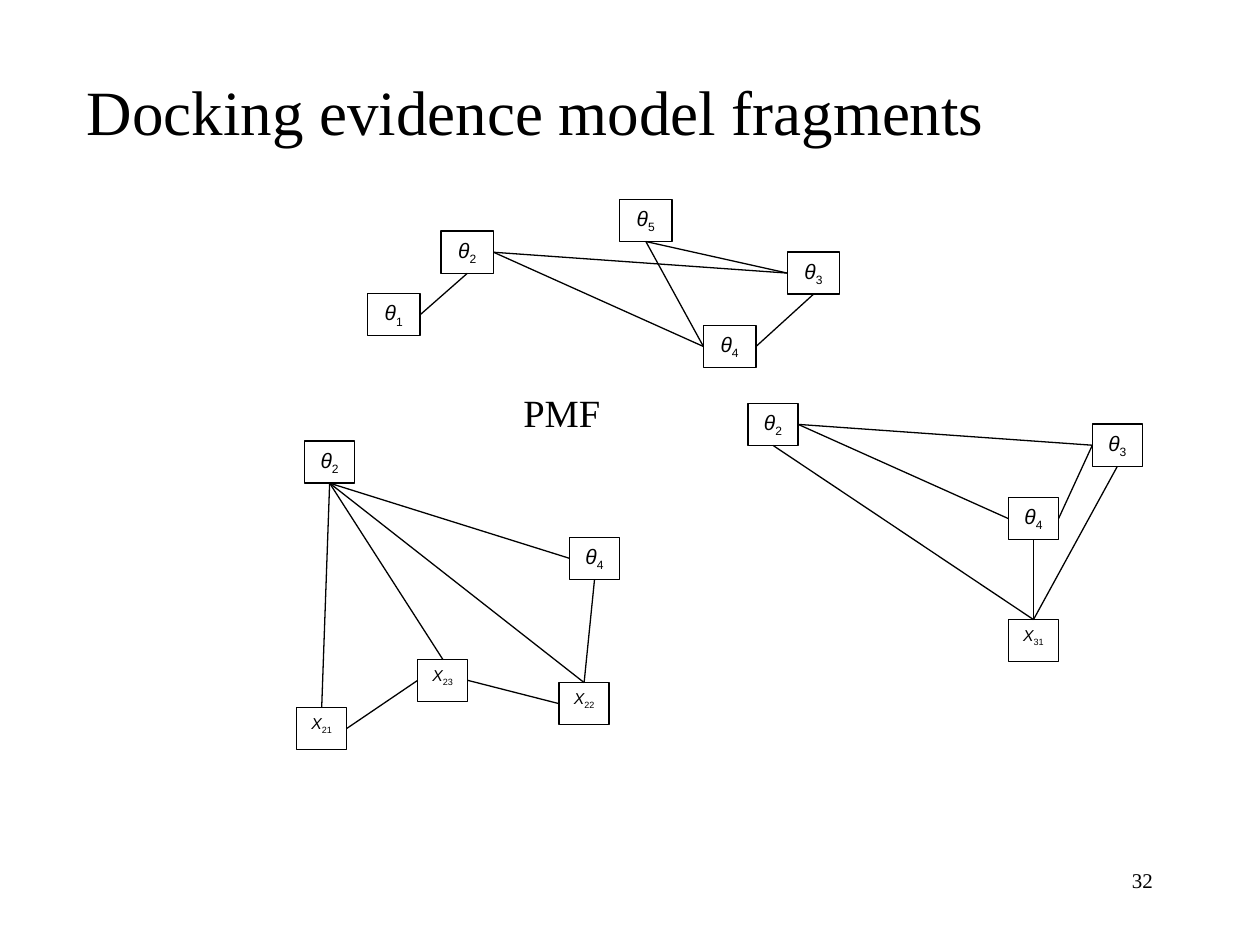
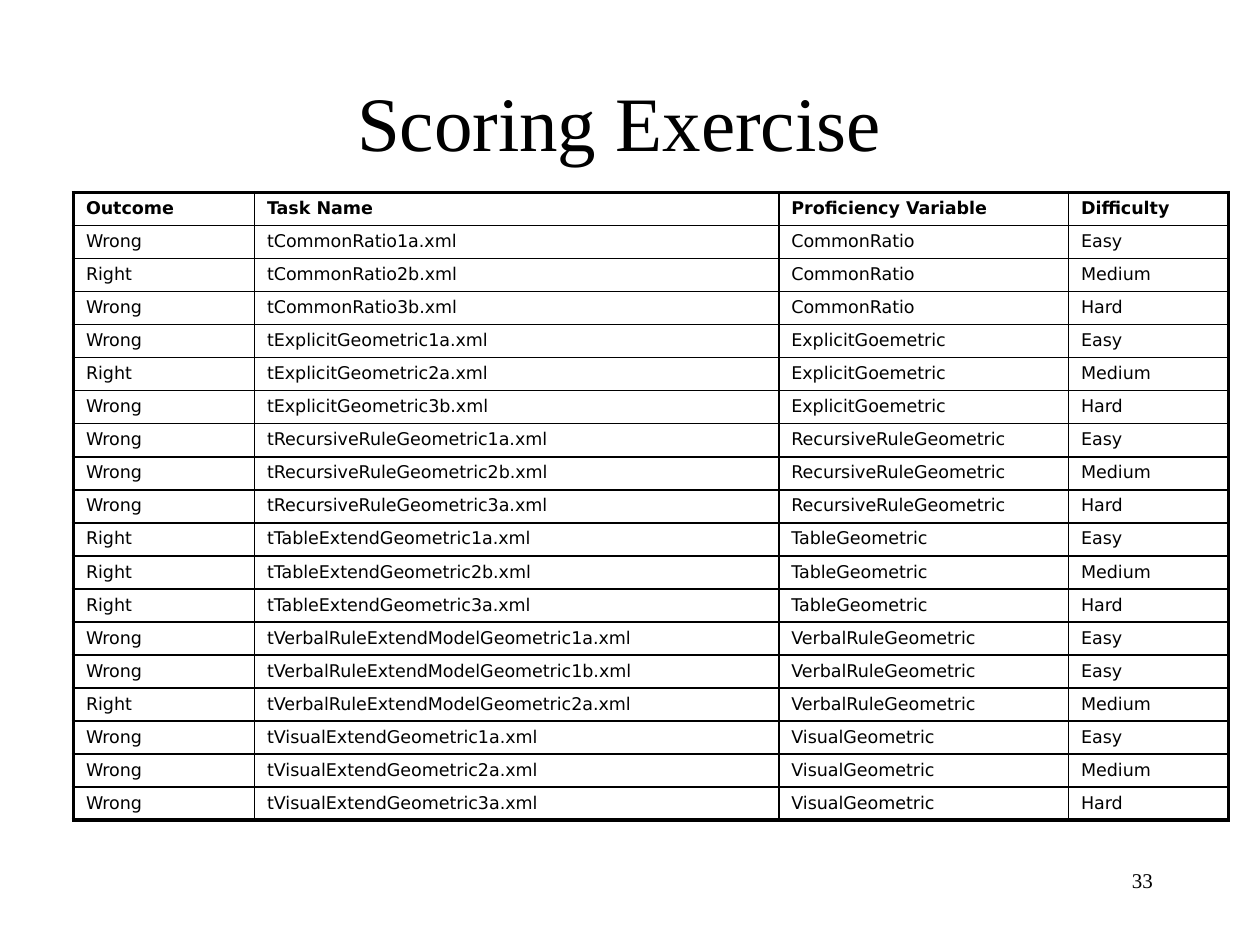
"""Build two slides: docked evidence model fragments and a scoring exercise."""
import dataclasses

import lxml.etree
import pptx
import pptx.dml.color
import pptx.enum.shapes
import pptx.enum.text
import pptx.oxml.ns
import pptx.util

Cm = pptx.util.Cm
Pt = pptx.util.Pt
qn = pptx.oxml.ns.qn
ALIGN = pptx.enum.text.PP_ALIGN
ANCHOR = pptx.enum.text.MSO_ANCHOR
TOP, LEFT, BOTTOM, RIGHT = range(4)


@dataclasses.dataclass(frozen=True)
class Theme:
    """Hold the colours, fonts, type sizes and line widths."""
    ink: str = "000000"
    paper: str = "FFFFFF"
    serif: str = "Times New Roman"
    sans: str = "Arial"
    grid: str = "DejaVu Sans"
    title: float = 36
    big: float = 44
    label: float = 22
    small: float = 12
    tiny: float = 9
    cell: float = 10
    line: float = 0.75
    inner: float = 1
    outer: float = 2.25


THEME = Theme()

PROFILE = {
    "size": (1.06, 0.85),
    "nodes": {"θ2": (8.89, 4.66), "θ1": (7.41, 5.92), "θ3": (15.87, 5.08),
              "θ4": (14.18, 6.56), "θ5": (12.49, 4.02)},
    "edges": [("θ2", BOTTOM, "θ1", RIGHT), ("θ5", BOTTOM, "θ4", LEFT),
              ("θ3", BOTTOM, "θ4", RIGHT), ("θ4", LEFT, "θ2", RIGHT),
              ("θ2", RIGHT, "θ3", LEFT), ("θ3", LEFT, "θ5", BOTTOM)],
}
TRIPLE = {
    "size": (1.01, 0.85),
    "nodes": {"X21": (5.98, 14.26), "X23": (8.42, 13.29), "X22": (11.27, 13.76),
              "θ2": (6.14, 8.89), "θ4": (11.48, 10.83)},
    "edges": [("θ2", BOTTOM, "X21", TOP), ("θ2", BOTTOM, "X22", TOP),
              ("X23", LEFT, "X21", RIGHT), ("X23", RIGHT, "X22", LEFT),
              ("θ4", BOTTOM, "X22", TOP), ("θ2", BOTTOM, "X23", TOP),
              ("θ2", BOTTOM, "θ4", LEFT)],
}
SINGLE = {
    "size": (1.01, 0.85),
    "nodes": {"X31": (20.33, 12.49), "θ3": (22.02, 8.55),
              "θ2": (15.08, 8.13), "θ4": (20.33, 10.03)},
    "edges": [("θ2", BOTTOM, "X31", TOP), ("θ4", BOTTOM, "X31", TOP),
              ("θ3", BOTTOM, "X31", TOP), ("θ2", RIGHT, "θ4", LEFT),
              ("θ4", RIGHT, "θ3", LEFT), ("θ2", RIGHT, "θ3", LEFT)],
}

HEADS = ("Outcome", "Task Name", "Proficiency Variable", "Difficulty")
WIDTHS = (3.65, 10.57, 5.84, 3.23)
LEVELS = {"1": "Easy", "2": "Medium", "3": "Hard"}
MARKS = {"W": "Wrong", "R": "Right"}
TASKS = [
    ("CommonRatio", "CommonRatio", "1a 2b 3b", "WRW"),
    ("ExplicitGeometric", "ExplicitGoemetric", "1a 2a 3b", "WRW"),
    ("RecursiveRuleGeometric", "RecursiveRuleGeometric", "1a 2b 3a", "WWW"),
    ("TableExtendGeometric", "TableGeometric", "1a 2b 3a", "RRR"),
    ("VerbalRuleExtendModelGeometric", "VerbalRuleGeometric", "1a 1b 2a", "WWR"),
    ("VisualExtendGeometric", "VisualGeometric", "1a 2a 3a", "WWW"),
]


def put(item, values):
    """Set each named value on the item."""
    for name, value in values.items():
        setattr(item, name, value)


def ink(code):
    """Return a colour from its hex code."""
    return pptx.dml.color.RGBColor.from_string(code)


def write(para, text, face, size, **extra):
    """Add a run of text in the ink colour and return it."""
    run = para.add_run()
    run.text = text
    put(run.font, {"name": face, "size": Pt(size), **extra})
    run.font.color.rgb = ink(THEME.ink)
    return run


def label(slide, text, box, size, para=None, frame=None):
    """Add a serif text box with paragraph and frame formats."""
    shape = slide.shapes.add_textbox(*map(Cm, box))
    put(shape.text_frame, {"word_wrap": True, **(frame or {})})
    first = shape.text_frame.paragraphs[0]
    put(first, para or {})
    write(first, text, THEME.serif, size)


def title(slide, text, box, size, align):
    """Add the slide title."""
    label(slide, text, box, size, {"alignment": align},
          {"vertical_anchor": ANCHOR.MIDDLE})


def number(slide, text):
    """Add the page number."""
    label(slide, text, (18.2, 17.36, 5.29, 1.27), THEME.small,
          {"alignment": ALIGN.RIGHT})


def stroke(line):
    """Give a line the shared colour and width."""
    line.color.rgb = ink(THEME.ink)
    line.width = Pt(THEME.line)


def node(slide, name, spot, size):
    """Add a boxed variable with its subscript."""
    box = slide.shapes.add_shape(pptx.enum.shapes.MSO_SHAPE.RECTANGLE,
                                 *map(Cm, spot + size))
    box.shadow.inherit = False
    box.fill.solid()
    box.fill.fore_color.rgb = ink(THEME.paper)
    stroke(box.line)
    put(box.text_frame, {"word_wrap": True, "vertical_anchor": ANCHOR.TOP,
                         "margin_left": 0, "margin_right": 0})
    para = box.text_frame.paragraphs[0]
    para.alignment = ALIGN.CENTER
    points = THEME.small if name[0] == "θ" else THEME.tiny
    write(para, name[0], THEME.sans, points, italic=True)
    sub = write(para, name[1:], THEME.sans, points, italic=False)
    sub._r.get_or_add_rPr().set("baseline", "-25000")
    return box


def edge(slide, start, exit, stop, entry):
    """Join two nodes at the given sides."""
    link = slide.shapes.add_connector(
        pptx.enum.shapes.MSO_CONNECTOR.STRAIGHT, 0, 0, 0, 0)
    link.begin_connect(start, exit)
    link.end_connect(stop, entry)
    stroke(link.line)
    lxml.etree.SubElement(link.element.spPr, qn("a:effectLst"))


def graph(slide, model):
    """Draw the nodes and edges of one fragment."""
    nodes = {name: node(slide, name, spot, model["size"])
             for name, spot in model["nodes"].items()}
    for start, exit, stop, entry in model["edges"]:
        edge(slide, nodes[start], exit, nodes[stop], entry)


def border(cell, side, width):
    """Draw one side of a cell."""
    line = lxml.etree.SubElement(cell._tc.get_or_add_tcPr(), qn("a:ln" + side),
                                 w=str(Pt(width)))
    fill = lxml.etree.SubElement(line, qn("a:solidFill"))
    lxml.etree.SubElement(fill, qn("a:srgbClr"), val=THEME.ink)


def scores():
    """List the table rows, with difficulty taken from the task digit."""
    rows = [HEADS]
    for stem, skill, codes, marks in TASKS:
        for code, mark in zip(codes.split(), marks):
            rows.append((MARKS[mark], f"t{stem}{code}.xml", skill, LEVELS[code[0]]))
    return rows


def table(slide, rows, spot, widths, height):
    """Add a ruled table of equal rows with a heavier outer frame."""
    size = (sum(widths), height)
    grid = slide.shapes.add_table(len(rows), len(widths),
                                  *map(Cm, spot + size)).table
    put(grid, {"first_row": False, "horz_banding": False})
    for col, width in zip(grid.columns, widths):
        col.width = Cm(width)
    for r, row in enumerate(rows):
        grid.rows[r].height = Cm(height / len(rows))
        for c, text in enumerate(row):
            cell = grid.cell(r, c)
            rims = {"L": c == 0, "R": c == len(widths) - 1,
                    "T": r == 0, "B": r == len(rows) - 1}
            for side, rim in rims.items():
                border(cell, side, THEME.outer if rim else THEME.inner)
            cell.fill.background()
            put(cell, {"margin_top": Cm(0.12), "margin_bottom": Cm(0.12)})
            write(cell.text_frame.paragraphs[0], text, THEME.grid, THEME.cell,
                  bold=r == 0)


def main():
    """Build and save both slides."""
    deck = pptx.Presentation()
    put(deck, {"slide_width": Cm(25.4), "slide_height": Cm(19.05)})
    blank = deck.slide_layouts[6]

    dock = deck.slides.add_slide(blank)
    title(dock, "Docking evidence model fragments", (1.5, 0.64, 23.9, 3.18),
          THEME.title, ALIGN.LEFT)
    for model in (PROFILE, TRIPLE, SINGLE):
        graph(dock, model)
    label(dock, "PMF", (8.89, 7.62, 4.87, 1.27), THEME.label,
          {"alignment": ALIGN.CENTER, "line_spacing": 1.1, "space_before": Pt(4.4)})
    number(dock, "32")

    score = deck.slides.add_slide(blank)
    title(score, "Scoring Exercise", (1.69, 0.85, 21.59, 3.18),
          THEME.big, ALIGN.CENTER)
    table(score, scores(), (1.48, 3.88), WIDTHS, 12.67)
    number(score, "33")

    deck.save("out.pptx")


if __name__ == "__main__":
    main()
